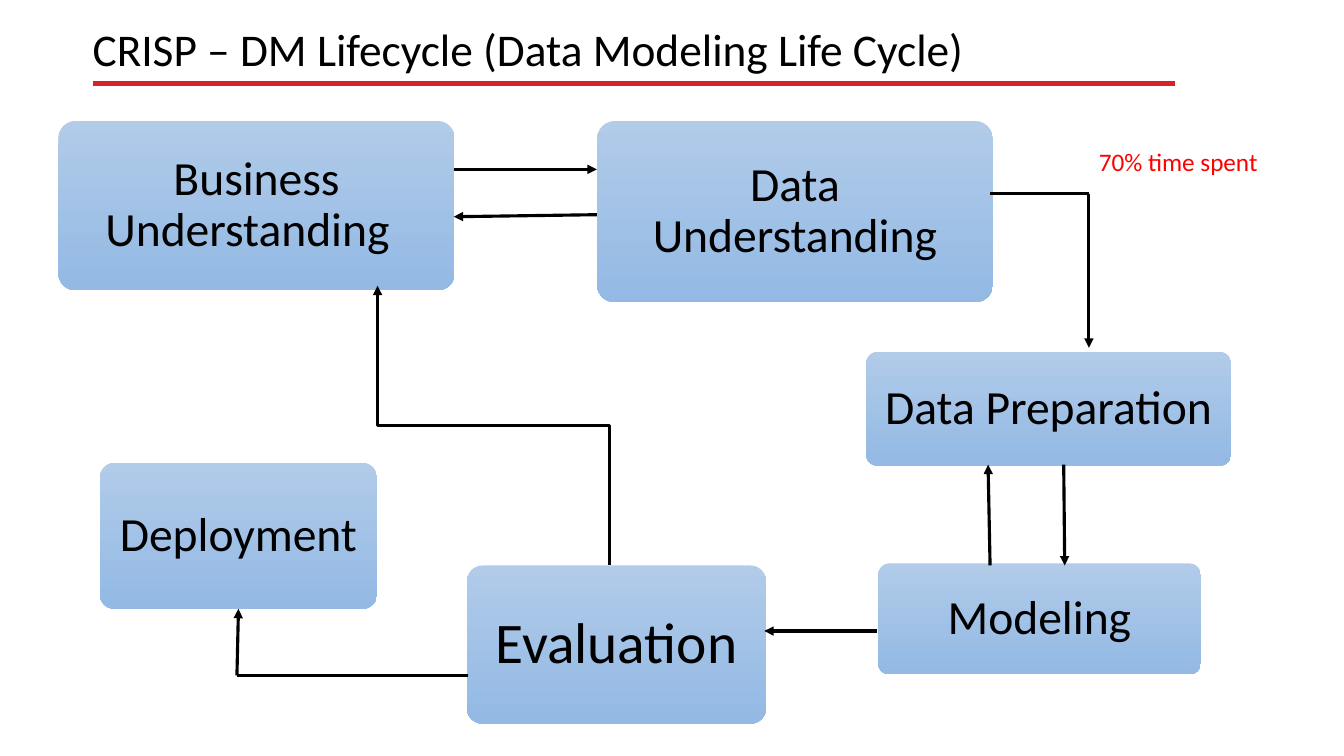
from lxml import etree
from pptx import Presentation, util as u
from pptx.dml.color import RGBColor
from pptx.enum import shapes, text
from pptx.oxml.ns import qn

PX = 9144  # 100 px to the inch
BLACK, RED, RULE = "000000", "FF0000", "DA2028"
TOP, BASE = "B1CBE9", "93B9E4"

# Stage: label, box, text size, inset
STAGES = [
    ("Evaluation", (463, 561, 297, 157), 41, 17),
    ("Deployment", (99, 459, 275, 145), 34, 14),
    ("Business Understanding\t", (58, 120, 393, 168), 34, 14),
    ("Data Understanding", (592, 120, 393, 180), 34, 14),
    ("Modeling", (871, 559, 320, 110), 34, 14),
    ("Data Preparation", (859, 349, 362, 113), 34, 14),
]

# Straight links: start, end, arrowhead
LINKS = [
    ((870, 626), (758, 626), True),
    ((235, 670), (464, 670), False),
    ((450, 168), (592, 168), True),
    ((592, 213), (450, 215), True),
    ((1055, 461), (1056, 561), True),
    ((982, 561), (980, 461), True),
    ((982, 192), (1080, 192), False),
    ((1080, 192), (1080, 345), True),
]


def px(*vals):
    return [v * PX for v in vals]


def color(code):
    return RGBColor.from_string(code)


def style(frame, words, size, code=BLACK):
    frame.word_wrap = True
    frame.text = words
    para = frame.paragraphs[0]
    font = para.runs[0].font
    font.name, font.size = "Calibri", u.Pt(size)
    font.color.rgb = color(code)
    return para


def label(slide, box, words, size, code=BLACK):
    frame = slide.shapes.add_textbox(*px(*box)).text_frame
    return style(frame, words, size, code)


def stage(slide, words, box, size, inset):
    kind = shapes.MSO_SHAPE.ROUNDED_RECTANGLE
    card = slide.shapes.add_shape(kind, *px(*box))
    card.adjustments[0] = 0.1
    card.shadow.inherit = False
    card.line.fill.background()
    card.fill.gradient()
    card.fill.gradient_angle = 270
    for stop, code, pos in zip(card.fill.gradient_stops, (TOP, BASE), (0, 1)):
        stop.color.rgb = color(code)
        stop.position = pos
    frame = card.text_frame
    frame.margin_left = frame.margin_right = inset * PX
    frame.margin_top = frame.margin_bottom = inset * PX
    frame.vertical_anchor = text.MSO_ANCHOR.MIDDLE
    para = style(frame, words, size)
    para.alignment = text.PP_ALIGN.CENTER
    para.line_spacing = 0.9
    return card


def link(slide, start, end, head=True, code=BLACK, width=2.25, bent=False):
    kinds = shapes.MSO_CONNECTOR
    kind = kinds.ELBOW if bent else kinds.STRAIGHT
    line = slide.shapes.add_connector(kind, *px(*start, *end))
    line.line.color.rgb = color(code)
    line.line.width = u.Pt(width)
    props = line._element.spPr
    if head:
        etree.SubElement(props.find(qn("a:ln")), qn("a:tailEnd"), type="triangle")
    etree.SubElement(props, qn("a:effectLst"))
    if bent:  # quarter turn, so that the elbow leaves upwards
        props.find(qn("a:xfrm")).set("rot", "16200000")
    return line


def main():
    deck = Presentation()
    deck.slide_width, deck.slide_height = px(1333, 750)
    slide = deck.slides.add_slide(deck.slide_layouts[6])

    # Heading
    head = label(slide, (82, 22, 1150, 56),
                 "CRISP – DM Lifecycle (Data Modeling Life Cycle)", 32.4)
    head.line_spacing = 0.9

    # Stages
    cards = {item[0]: stage(slide, *item) for item in STAGES}

    # Links
    for item in LINKS:
        link(slide, *item)
    rise = link(slide, (235, 670), (236, 604))
    rise.end_connect(cards["Deployment"], 2)
    link(slide, (351, 537), (628, 307), bent=True)

    # Note and heading rule
    label(slide, (1080, 140, 182, 40), "70% time spent", 18, RED)
    link(slide, (92, 83), (1165, 83), False, RULE, 3.7)

    deck.save("out.pptx")


if __name__ == "__main__":
    main()
